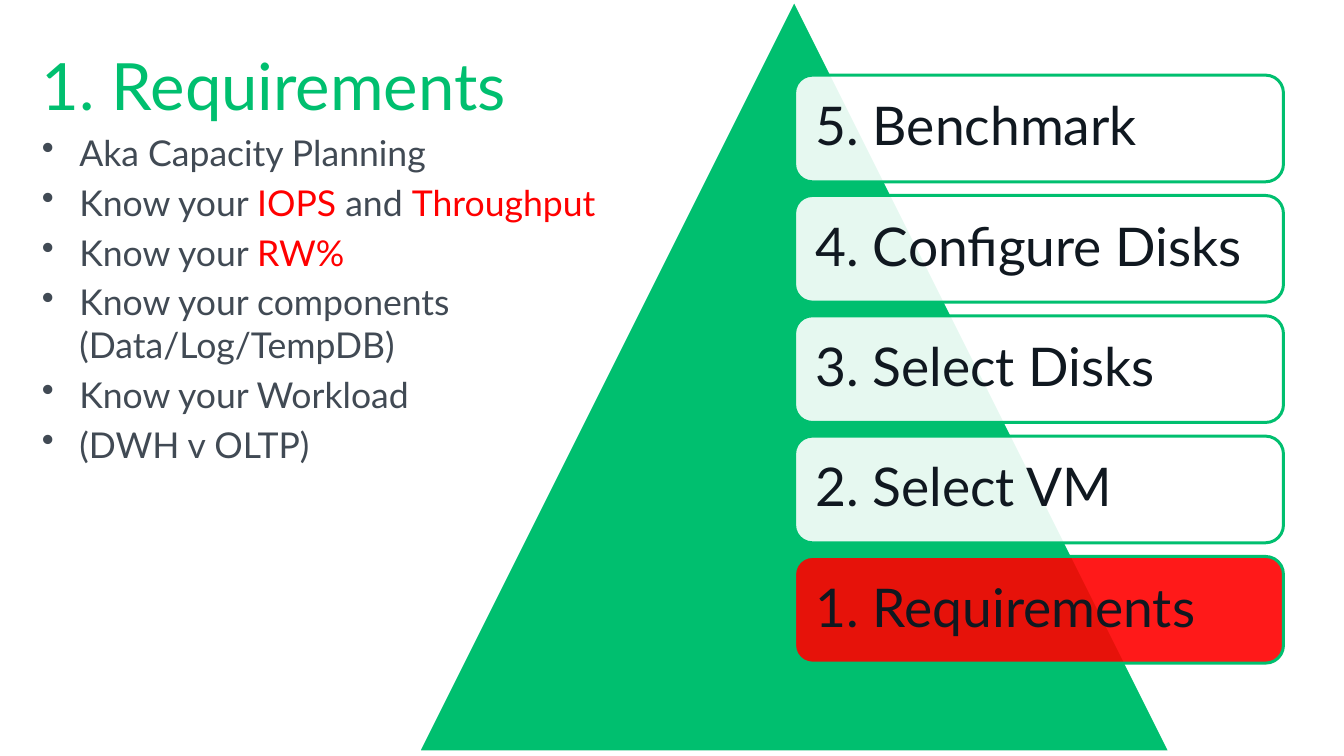
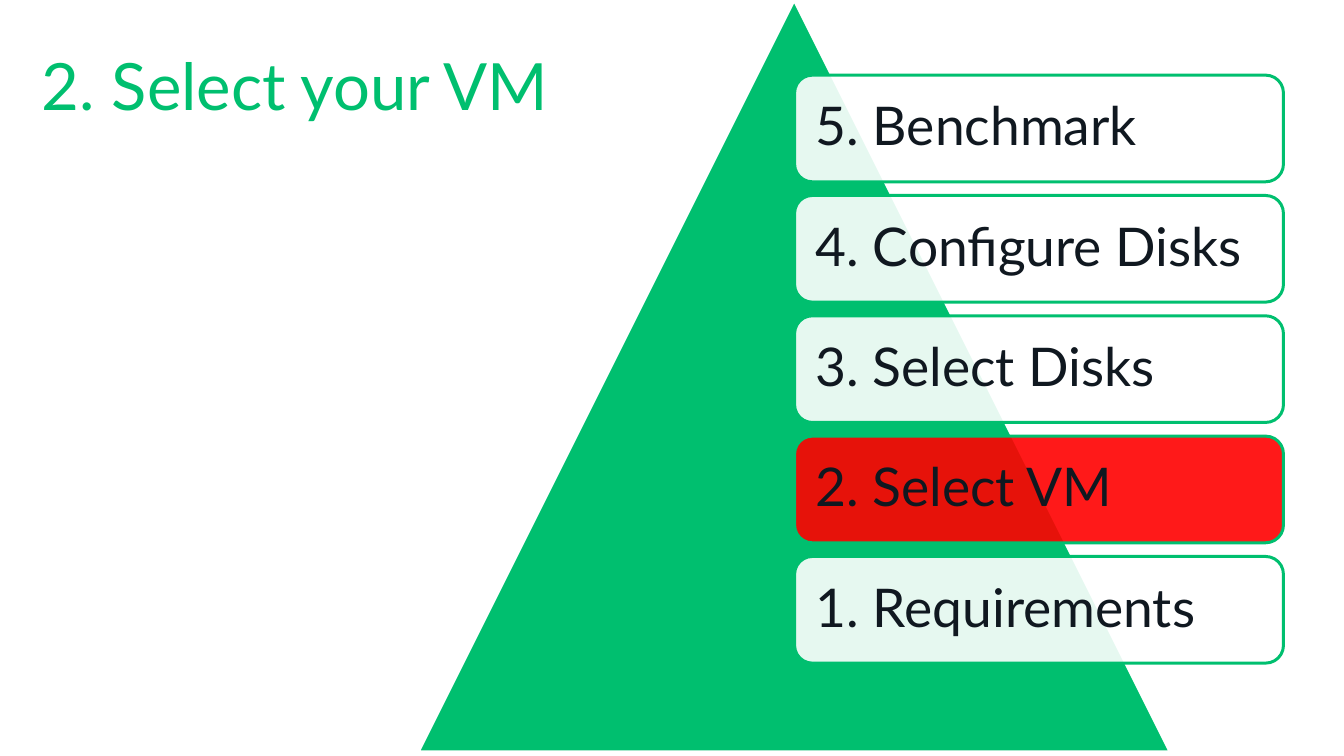
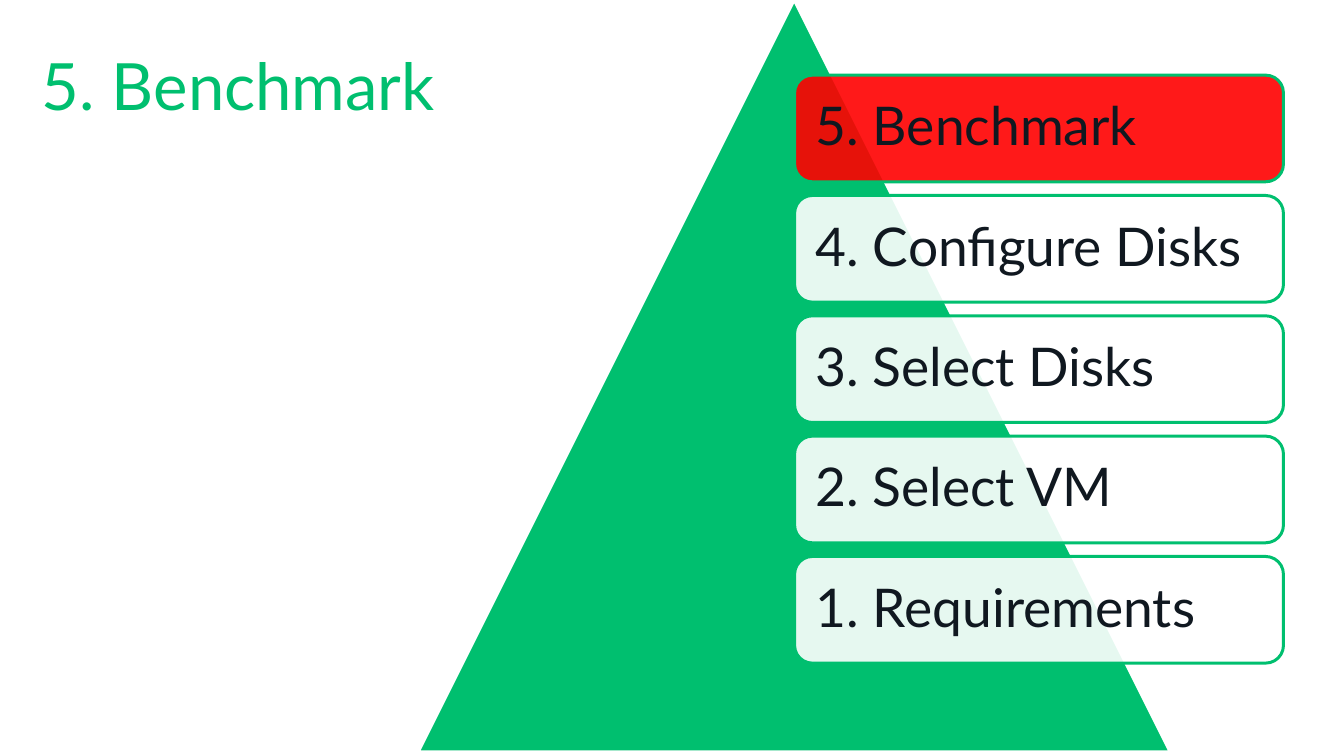
from dataclasses import dataclass

from pptx import Presentation
from pptx.dml.color import RGBColor
from pptx.enum.shapes import MSO_SHAPE as Shape
from pptx.enum.text import MSO_ANCHOR as Anchor, MSO_AUTO_SIZE as AutoSize, PP_ALIGN as Align
from pptx.oxml.xmlchemy import OxmlElement
from pptx.slide import Slide
from pptx.text.text import Font, TextFrame
from pptx.util import Cm, Pt

# Shared look
GREEN, RED, WHITE = "00BF6F", "FF0000", "FFFFFF"
INK, GREY = "101820", "414A54"
FONT = "Lato"
STEPS = ("Requirements", "Select VM", "Select Disks", "Configure Disks", "Benchmark")

# Geometry in centimetres
MARGIN, CONTENT_WIDTH = 1, 30
BOX_LEFT, BOX_TOP, BOX_WIDTH, BOX_HEIGHT = 18.92, 1.79, 11.64, 2.54
BOX_PITCH = 2.865
BOX_INSET = 0.38
BULLET_INDENT = 0.89


@dataclass(frozen=True)
class Part:
    """A stretch of bullet text; key terms are red."""
    text: str
    key: bool = False


Bullet = tuple[Part, ...]


@dataclass(frozen=True)
class StepSlide:
    title: str
    active_step: int
    bullets: tuple[Bullet, ...] = ()


SLIDES = (
    StepSlide("1. Requirements", 1, (
        (Part("Aka Capacity Planning"),),
        (Part("Know your "), Part("IOPS ", True), Part("and "), Part("Throughput", True)),
        (Part("Know your "), Part("RW%", True)),
        (Part("Know your components\n(Data/Log/TempDB)"),),
        (Part("Know your Workload"),),
        (Part("(DWH v OLTP)"),),
    )),
    StepSlide("2. Select your VM", 2),
    StepSlide("5. Benchmark", 5),
)


def rgb(color: str) -> RGBColor:
    return RGBColor.from_string(color)


def style_font(font: Font, size: float, color: str) -> None:
    font.name, font.size = FONT, Pt(size)
    font.color.rgb = rgb(color)


def set_up_frame(frame: TextFrame, anchor: Anchor, inset: float = 0) -> None:
    frame.word_wrap = True
    frame.auto_size = AutoSize.NONE
    frame.vertical_anchor = anchor
    frame.margin_left = frame.margin_right = Cm(inset)
    frame.margin_top = frame.margin_bottom = Cm(inset)


def add_outlined(slide: Slide, kind: Shape, left: float, top: float, width: float,
                 height: float, fill: str, line: str):
    shape = slide.shapes.add_shape(kind, Cm(left), Cm(top), Cm(width), Cm(height))
    shape.shadow.inherit = False
    shape.fill.solid()
    shape.fill.fore_color.rgb = rgb(fill)
    shape.line.color.rgb = rgb(line)
    shape.line.width = Pt(2)
    return shape


def set_opacity(shape, percent: int) -> None:
    alpha = OxmlElement("a:alpha")
    alpha.set("val", str(percent * 1000))
    shape.fill._xPr.find(".//{*}solidFill/{*}srgbClr").append(alpha)


def add_title(slide: Slide, text: str) -> None:
    title = slide.shapes.title
    title.left, title.top = Cm(MARGIN), Cm(MARGIN)
    title.width, title.height = Cm(CONTENT_WIDTH), Cm(2)
    set_up_frame(title.text_frame, Anchor.MIDDLE)
    title.text_frame.text = text
    heading = title.text_frame.paragraphs[0]
    heading.alignment = Align.LEFT
    style_font(heading.font, 44, GREEN)


def add_pyramid(slide: Slide, active_step: int) -> None:
    add_outlined(slide, Shape.ISOSCELES_TRIANGLE, 9.96, 0, 17.9, 17.9, GREEN, WHITE)
    # The first step sits at the bottom
    for number, step in enumerate(STEPS, 1):
        top = BOX_TOP + (len(STEPS) - number) * BOX_PITCH
        box = add_outlined(slide, Shape.ROUNDED_RECTANGLE, BOX_LEFT, top, BOX_WIDTH,
                           BOX_HEIGHT, RED if number == active_step else WHITE, GREEN)
        set_opacity(box, 90)
        set_up_frame(box.text_frame, Anchor.MIDDLE, BOX_INSET)
        label = box.text_frame.paragraphs[0]
        label.text = f"{number}. {step}"
        label.alignment = Align.LEFT
        label.line_spacing = 0.9
        style_font(label.font, 36, INK)


def add_bullets(slide: Slide, bullets: tuple[Bullet, ...]) -> None:
    body = slide.shapes.add_textbox(Cm(MARGIN), Cm(3.12), Cm(CONTENT_WIDTH), Cm(13))
    frame = body.text_frame
    set_up_frame(frame, Anchor.TOP)
    for index, bullet in enumerate(bullets):
        paragraph = frame.add_paragraph() if index else frame.paragraphs[0]
        paragraph.space_before = Pt(4.8)
        # Bullet sign with a hanging indent
        properties = paragraph._p.get_or_add_pPr()
        properties.set("marL", str(Cm(BULLET_INDENT)))
        properties.set("indent", str(-Cm(BULLET_INDENT)))
        sign = OxmlElement("a:buChar")
        sign.set("char", "•")
        properties.append(sign)
        style_font(paragraph.font, 24, GREY)
        for part in bullet:
            for line_index, line in enumerate(part.text.split("\n")):
                if line_index:
                    paragraph.add_line_break()
                run = paragraph.add_run()
                run.text = line
                if part.key:
                    run.font.color.rgb = rgb(RED)


def main() -> None:
    deck = Presentation()
    deck.slide_width, deck.slide_height = Cm(32), Cm(18)
    title_only = deck.slide_layouts[5]
    for content in SLIDES:
        slide = deck.slides.add_slide(title_only)
        add_pyramid(slide, content.active_step)
        add_title(slide, content.title)
        if content.bullets:
            add_bullets(slide, content.bullets)
    deck.save("out.pptx")


if __name__ == "__main__":
    main()
